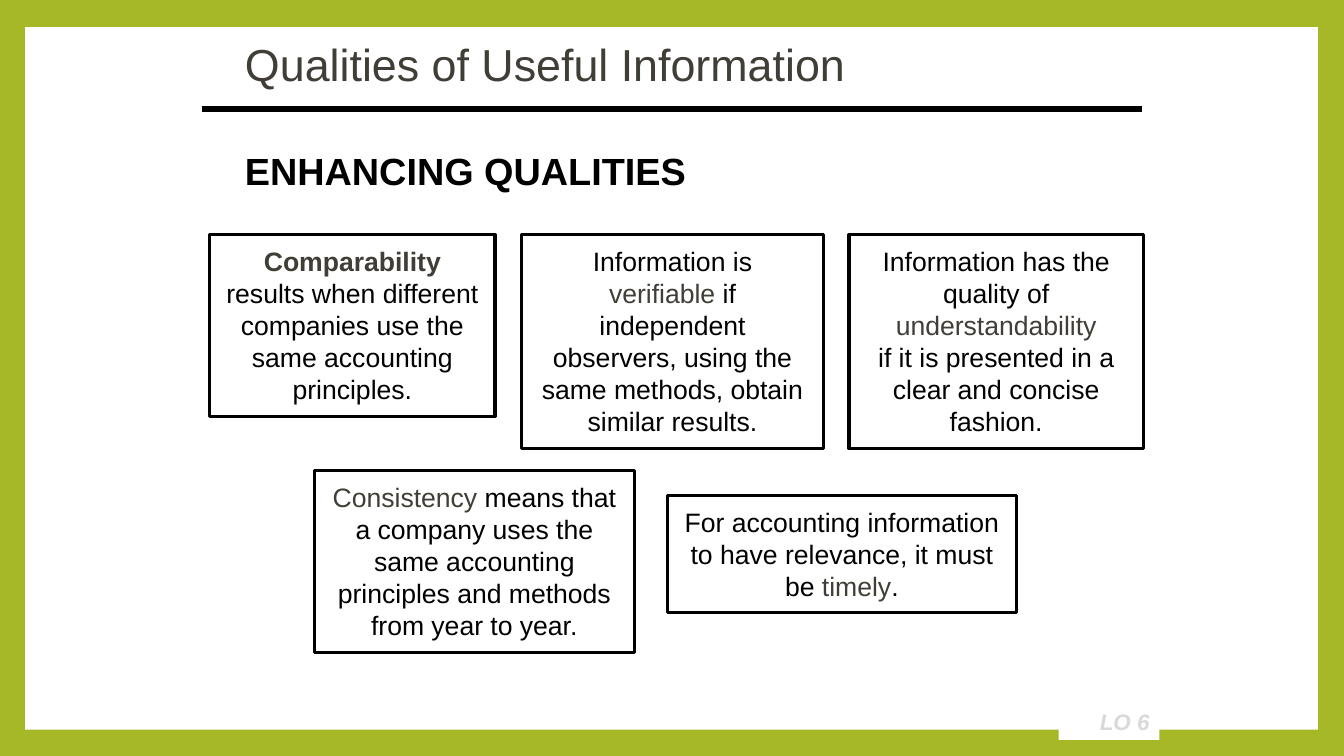
from lxml import etree
from pptx import Presentation
from pptx.dml.color import RGBColor
from pptx.enum.shapes import MSO_CONNECTOR as CONNECTOR, MSO_SHAPE as SHAPE
from pptx.enum.text import MSO_ANCHOR as ANCHOR, MSO_AUTO_SIZE as AUTO_SIZE, PP_ALIGN as ALIGN
from pptx.oxml.ns import qn
from pptx.util import Inches, Pt

COLORS = {
    "frame": "A6B727",
    "paper": "FFFFFF",
    "ink": "000000",
    "term": "403E37",
    "tag": "D9D9D9",
}


class SlideBuilder:
    def __init__(self, slide, font_name="Arial"):
        self.slide = slide
        self.font_name = font_name

    def color(self, name):
        return RGBColor.from_string(COLORS[name])

    def background(self, color):
        fill = self.slide.background.fill
        fill.solid()
        fill.fore_color.rgb = self.color(color)

    def set_text(self, frame, paragraphs, size, align=ALIGN.LEFT, inset=(0.1, 0.05),
                 anchor=ANCHOR.TOP, auto_size=AUTO_SIZE.NONE):
        """Fill a frame; each paragraph is a list of (text, color, extra font values)."""
        side, edge = map(Inches, inset)
        layout = {"word_wrap": True, "auto_size": auto_size, "vertical_anchor": anchor,
                  "margin_left": side, "margin_right": side,
                  "margin_top": edge, "margin_bottom": edge}
        for name, value in layout.items():
            setattr(frame, name, value)
        for index, runs in enumerate(paragraphs):
            paragraph = frame.add_paragraph() if index else frame.paragraphs[0]
            paragraph.alignment = align
            for text, color, extra in runs:
                run = paragraph.add_run()
                run.text = text
                run.font.color.rgb = self.color(color)
                values = {"name": self.font_name, "size": Pt(size), "bold": False, **extra}
                for name, value in values.items():
                    setattr(run.font, name, value)

    def title(self, text, *box):
        title = self.slide.shapes.title
        for name, value in zip(("left", "top", "width", "height"), box):
            setattr(title, name, Inches(value))
        self.set_text(title.text_frame, [[(text, "term", {})]], 32, anchor=ANCHOR.MIDDLE)

    def heading(self, text, *box):
        heading = self.slide.shapes.add_textbox(*map(Inches, box))
        self.set_text(heading.text_frame, [[(text, "ink", {"bold": True})]], 27,
                      auto_size=AUTO_SIZE.SHAPE_TO_FIT_TEXT)

    def panel(self, *box, border=None):
        panel = self.slide.shapes.add_shape(SHAPE.RECTANGLE, *map(Inches, box))
        panel.shadow.inherit = False
        panel.fill.solid()
        panel.fill.fore_color.rgb = self.color("paper")
        if border:
            panel.line.color.rgb = self.color("ink")
            panel.line.width = Pt(border)
        else:
            panel.line.fill.background()
        return panel

    def quality(self, box, paragraphs):
        card = self.panel(*box, border=2.25)
        self.set_text(card.text_frame, paragraphs, 19, ALIGN.CENTER, inset=(0.15, 0.1),
                      auto_size=AUTO_SIZE.SHAPE_TO_FIT_TEXT)

    def tag(self, text, *box):
        tag = self.panel(*box)
        self.set_text(tag.text_frame, [[(text, "tag", {"bold": True, "italic": True})]], 16,
                      ALIGN.RIGHT, anchor=ANCHOR.MIDDLE)

    def rule(self, left, right, y, width):
        rule = self.slide.shapes.add_connector(
            CONNECTOR.STRAIGHT, Inches(left), Inches(y), Inches(right), Inches(y))
        rule.line.color.rgb = self.color("ink")
        rule.line.width = Pt(width)
        etree.SubElement(rule.element.spPr, qn("a:effectLst"))


def plain(text):
    return text, "ink", {}


def term(text, **extra):
    return text, "term", extra


TOP_ROW = 2.33
QUALITIES = [
    ((2.08, TOP_ROW, 2.83, 1.8), [
        [term("Comparability ", bold=True),
         plain("results when different companies use the same accounting principles.")]]),
    ((3.12, 4.67, 3.17, 1.8), [
        [term("Consistency"), plain(" means that a company uses the same accounting")],
        [plain("principles and methods from year to year.")]]),
    ((5.17, TOP_ROW, 3, 2.12), [
        [plain("Information is "), term("verifiable"), plain(" if independent")],
        [plain("observers, using the same methods, obtain similar results.")]]),
    ((6.62, 4.92, 3.46, 1.16), [
        [plain("For accounting information to have relevance, it must be "),
         term("timely"), plain(".")]]),
    ((8.42, TOP_ROW, 2.92, 2.12), [
        [plain("Information has the quality of "), term("understandability")],
        [plain("if it is presented in a clear and concise fashion.")]]),
]


def main():
    deck = Presentation()
    deck.slide_width, deck.slide_height = Inches(13.33), Inches(7.5)
    builder = SlideBuilder(deck.slides.add_slide(deck.slide_layouts[5]))
    builder.background("frame")
    builder.panel(0.25, 0.27, 12.82, 6.97)
    # The title placeholder comes first in the stack, so raise it above the white panel.
    shapes = builder.slide.shapes
    shapes.element.append(shapes.title.element)
    builder.title("Qualities of Useful Information", 2.33, 0.33, 9, 0.61)
    builder.rule(2, 11.33, 1.08, 4.5)
    builder.heading("ENHANCING QUALITIES", 2.33, 1.42, 6.12, 0.57)
    for box, paragraphs in QUALITIES:
        builder.quality(box, paragraphs)
    builder.tag("LO 6", 10.5, 6.97, 1, 0.37)
    deck.save("out.pptx")


if __name__ == "__main__":
    main()
